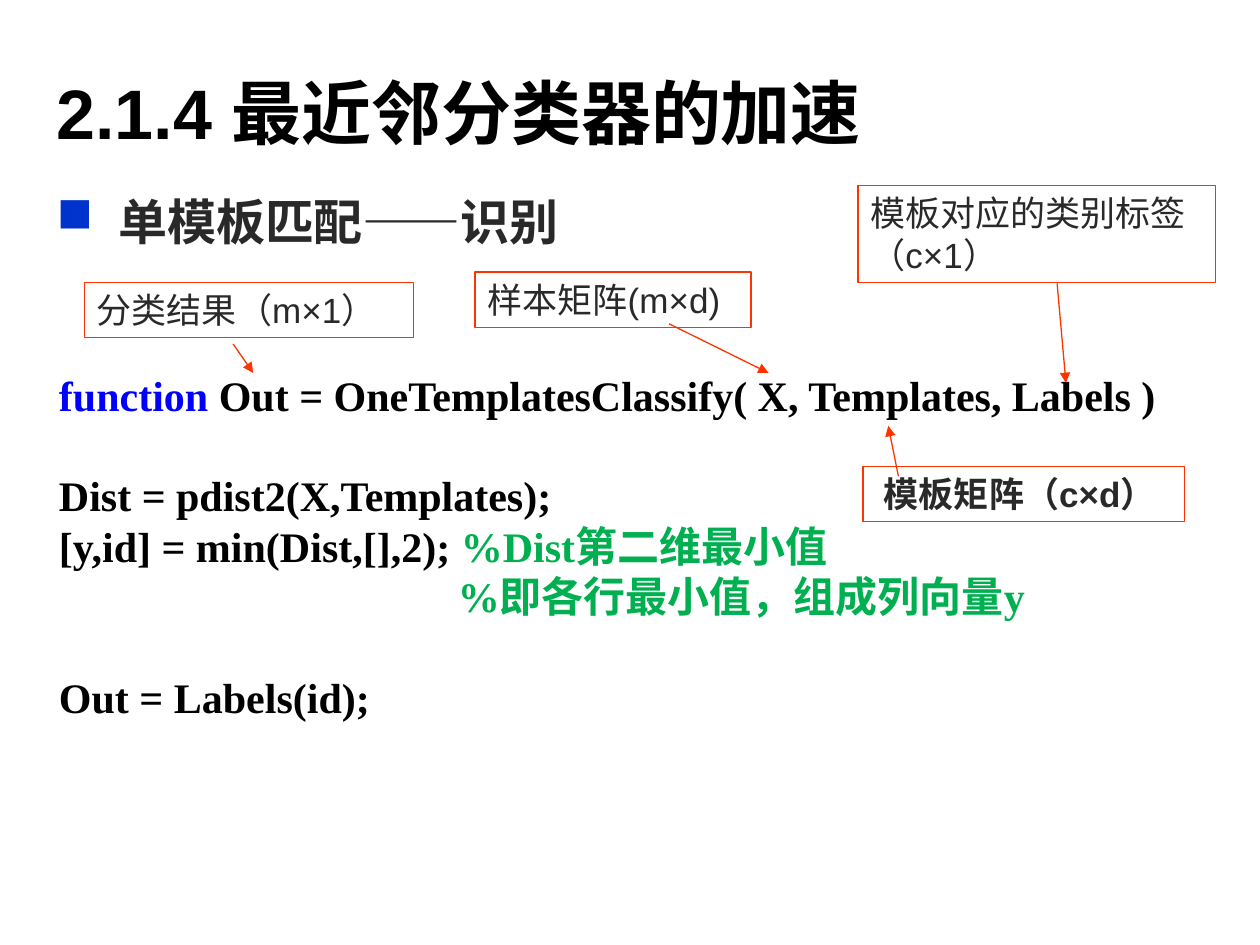
"""Build the slide on single-template matching with a nearest-neighbour classifier."""
from lxml import etree
from pptx import Presentation
from pptx.dml.color import RGBColor
from pptx.enum.shapes import MSO_CONNECTOR, MSO_SHAPE
from pptx.enum.text import MSO_ANCHOR, PP_ALIGN
from pptx.oxml.ns import qn
from pptx.util import Inches, Pt

STRAIGHT, RECTANGLE = MSO_CONNECTOR.STRAIGHT, MSO_SHAPE.RECTANGLE
TOP, MIDDLE, BOTTOM = MSO_ANCHOR.TOP, MSO_ANCHOR.MIDDLE, MSO_ANCHOR.BOTTOM
LEFT, CENTER = PP_ALIGN.LEFT, PP_ALIGN.CENTER

COLORS = {
    "black": "000000", "body": "292929", "bullet": "0033CC",
    "keyword": "0000FF", "comment": "00B050", "callout": "FF3300",
}
SANS, SERIF = "Arial", "Times New Roman"
CODE_LINE = 28.8

TITLE = "2.1.4 最近邻分类器的加速"
HEADING = "单模板匹配——识别"
CODE = [
    (0, [("function", "keyword"),
         (" Out = OneTemplatesClassify( X, Templates, Labels )", "black")]),
    (1, [("Dist = pdist2(X,Templates);", "black")]),
    (0, [("[y,id] = min(Dist,[],2); ", "black"), ("%Dist第二维最小值", "comment")]),
    (0, [("                                      ", "black"),
         ("%即各行最小值，组成列向量y", "comment")]),
    (1, [("Out = Labels(id);", "black")]),
]
CALLOUTS = [
    ("模板矩阵（c×d） ", (6.85, 3.7, 2.55, 0.44), True, CENTER, False),
    ("样本矩阵(m×d)", (3.77, 2.16, 2.19, 0.44), False, LEFT, False),
    ("模板对应的类别标签（c×1）", (6.81, 1.47, 2.84, 0.77), False, LEFT, True),
    ("分类结果（m×1） ", (0.67, 2.24, 2.61, 0.44), False, LEFT, False),
]
ARROWS = [
    (5.31, 2.57, 6.1, 2.96),
    (8.39, 2.25, 8.46, 3.04),
    (7.13, 3.78, 7.05, 3.38),
    (1.85, 2.73, 2.01, 2.96),
]


def color(name):
    return RGBColor.from_string(COLORS[name])


def place(box):
    return [Inches(length) for length in box]


def set_frame(frame, anchor, wrap):
    frame.vertical_anchor = anchor
    frame.word_wrap = wrap
    return frame.paragraphs[0]


def add_run(paragraph, text, size, ink, font=SANS, bold=True):
    run = paragraph.add_run()
    run.text = text
    run.font.name, run.font.size, run.font.bold = font, Pt(size), bold
    run.font.color.rgb = color(ink)


def add_bullet(paragraph, symbol, ink, indent):
    properties = paragraph._p.get_or_add_pPr()
    properties.set("marL", str(Inches(indent)))
    properties.set("indent", str(-Inches(indent)))
    bullet_color = etree.SubElement(properties, qn("a:buClr"))
    etree.SubElement(bullet_color, qn("a:srgbClr"), val=COLORS[ink])
    etree.SubElement(properties, qn("a:buChar"), char=symbol)


def add_heading(shapes):
    frame = shapes.add_textbox(*place((0.35, 1.47, 8.98, 0.7))).text_frame
    heading = set_frame(frame, TOP, True)
    add_bullet(heading, "■", "bullet", 0.49)
    add_run(heading, HEADING, 28, "body")


def add_code(shapes):
    frame = shapes.add_textbox(*place((0.37, 2.88, 8.97, 2.9))).text_frame
    paragraph = set_frame(frame, MIDDLE, False)
    for index, (skipped, runs) in enumerate(CODE):
        if index:
            paragraph = frame.add_paragraph()
            paragraph.space_before = Pt(skipped * CODE_LINE)
        paragraph.line_spacing = Pt(CODE_LINE)
        for text, ink in runs:
            add_run(paragraph, text, 24, ink, SERIF)


def add_title(shapes):
    frame = shapes.add_textbox(*place((0.35, 0.28, 9.29, 0.99))).text_frame
    add_run(set_frame(frame, BOTTOM, True), TITLE, 40, "black")


def add_callout(shapes, text, box, bold, align, wrap):
    callout = shapes.add_shape(RECTANGLE, *place(box))
    callout.shadow.inherit = False
    callout.fill.background()
    callout.line.color.rgb = color("callout")
    callout.line.width = Pt(0.75)
    label = set_frame(callout.text_frame, MIDDLE, wrap)
    label.alignment = align
    add_run(label, text, 20, "body", bold=bold)


def add_arrow(shapes, ends):
    arrow = shapes.add_connector(STRAIGHT, *place(ends))
    arrow.line.color.rgb = color("callout")
    arrow.line.width = Pt(0.75)
    etree.SubElement(arrow.line._get_or_add_ln(), qn("a:tailEnd"), type="triangle")
    etree.SubElement(arrow._element.spPr, qn("a:effectLst"))


def main():
    deck = Presentation()
    deck.slide_width, deck.slide_height = Inches(10), Inches(7.5)
    shapes = deck.slides.add_slide(deck.slide_layouts[6]).shapes
    add_heading(shapes)
    add_code(shapes)
    add_title(shapes)
    for callout in CALLOUTS:
        add_callout(shapes, *callout)
    for ends in ARROWS:
        add_arrow(shapes, ends)
    deck.save("out.pptx")


if __name__ == "__main__":
    main()
